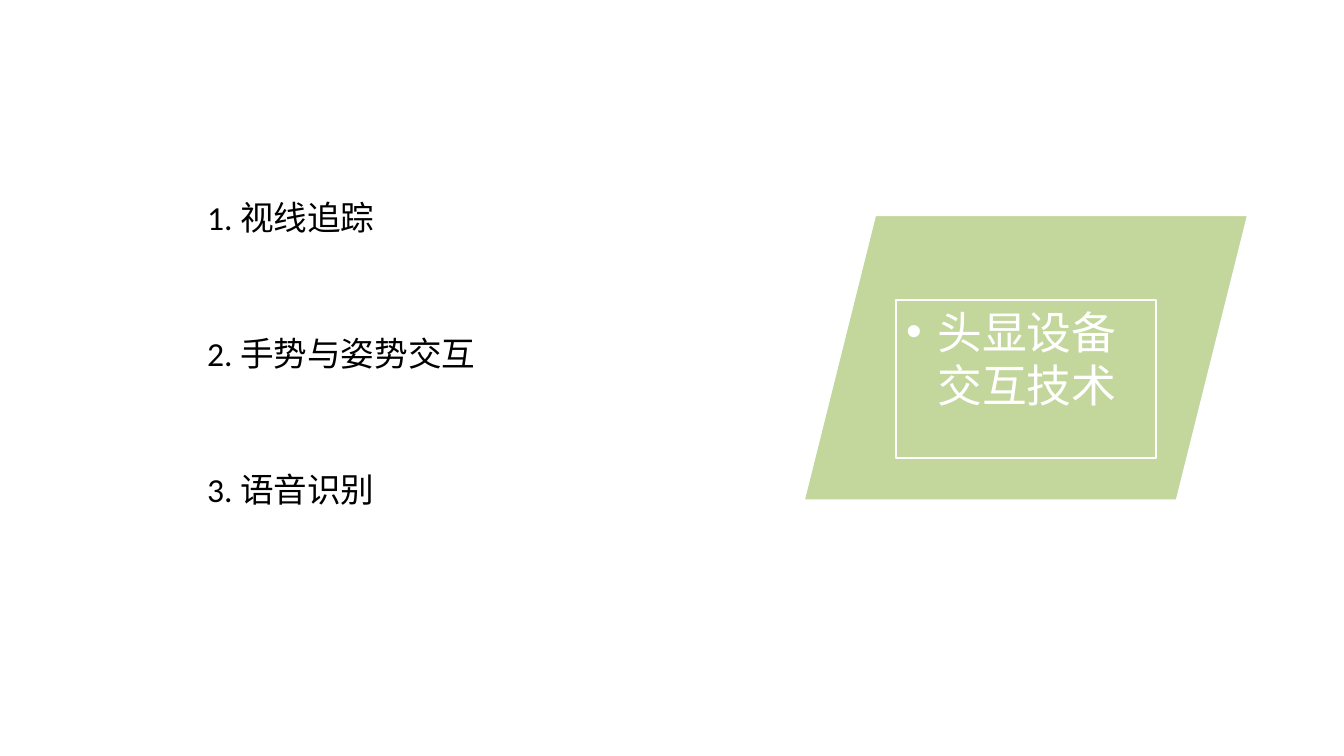
from dataclasses import dataclass
from typing import NamedTuple

from lxml.etree import SubElement
from pptx import Presentation
from pptx.dml.color import RGBColor
from pptx.enum.shapes import MSO_SHAPE
from pptx.enum.text import MSO_ANCHOR, MSO_AUTO_SIZE, PP_ALIGN
from pptx.oxml.ns import qn
from pptx.util import Inches, Pt

WIDE, HIGH = Inches(13.33), Inches(7.5)
COL, ROW = WIDE / 12, HIGH / 6


@dataclass(frozen=True)
class Theme:
    green: RGBColor = RGBColor(0xC3, 0xD6, 0x9B)
    white: RGBColor = RGBColor(255, 255, 255)
    black: RGBColor = RGBColor(0, 0, 0)
    latin: str = "Calibri"
    han: str = "Noto Sans CJK SC"
    head: Pt = Pt(32)
    pitch: Pt = Pt(38)
    body: Pt = Pt(24)
    line: Pt = Pt(1)


class Box(NamedTuple):
    """A place on the grid, in columns and rows."""
    col: float
    row: float
    cols: float
    rows: float

    def place(self) -> tuple[int, int, int, int]:
        return (round(self.col * COL), round(self.row * ROW),
                round(self.cols * COL), round(self.rows * ROW))


THEME = Theme()
PANEL = Box(7.18, 1.71, 3.96, 2.26)
TITLE = Box(8, 2.38, 2.32, 0.94)
FIRST = Box(1.76, 1.52, 3.2, 0.4)
STEP = 1.08
ITEMS = ["1. 视线追踪", "2. 手势与姿势交互", "3. 语音识别"]


def edge(shape) -> None:
    shape.line.color.rgb = THEME.white
    shape.line.width = THEME.line


def draw_panel(slide) -> None:
    panel = slide.shapes.add_shape(MSO_SHAPE.PARALLELOGRAM, *PANEL.place())
    panel.shadow.inherit = False
    panel.fill.solid()
    panel.fill.fore_color.rgb = THEME.green
    edge(panel)


def add_dot(para) -> None:
    """Give the paragraph a round bullet with a hanging indent."""
    props = para._p.get_or_add_pPr()
    props.set("marL", str(Inches(0.31)))
    props.set("indent", str(-Inches(0.31)))
    SubElement(props, qn("a:buFont"), typeface="Arial")
    SubElement(props, qn("a:buChar"), char="•")


def draw_title(slide) -> None:
    title = slide.shapes.title
    title.left, title.top, title.width, title.height = TITLE.place()
    edge(title)
    frame = title.text_frame
    frame.text = "头显设备交互技术"
    frame.word_wrap = True
    frame.auto_size = MSO_AUTO_SIZE.SHAPE_TO_FIT_TEXT
    frame.vertical_anchor = MSO_ANCHOR.TOP
    para = frame.paragraphs[0]
    para.alignment = PP_ALIGN.LEFT
    para.line_spacing = THEME.pitch
    add_dot(para)
    font = para.runs[0].font
    font.size, font.name = THEME.head, THEME.han
    font.color.rgb = THEME.white
    SubElement(font._element, qn("a:ea"), typeface=THEME.han)
    # The title must lie in front of the panel.
    slide.shapes._spTree.append(title._element)


def draw_item(slide, text: str, box: Box) -> None:
    frame = slide.shapes.add_textbox(*box.place()).text_frame
    frame.text = text
    frame.word_wrap = True
    frame.auto_size = MSO_AUTO_SIZE.SHAPE_TO_FIT_TEXT
    font = frame.paragraphs[0].runs[0].font
    font.size, font.name = THEME.body, THEME.latin
    font.color.rgb = THEME.black


def main() -> None:
    deck = Presentation()
    deck.slide_width, deck.slide_height = WIDE, HIGH
    slide = deck.slides.add_slide(deck.slide_layouts[5])
    draw_panel(slide)
    draw_title(slide)
    for rank, text in enumerate(ITEMS):
        draw_item(slide, text, FIRST._replace(row=FIRST.row + rank * STEP))
    deck.save("out.pptx")


if __name__ == "__main__":
    main()
